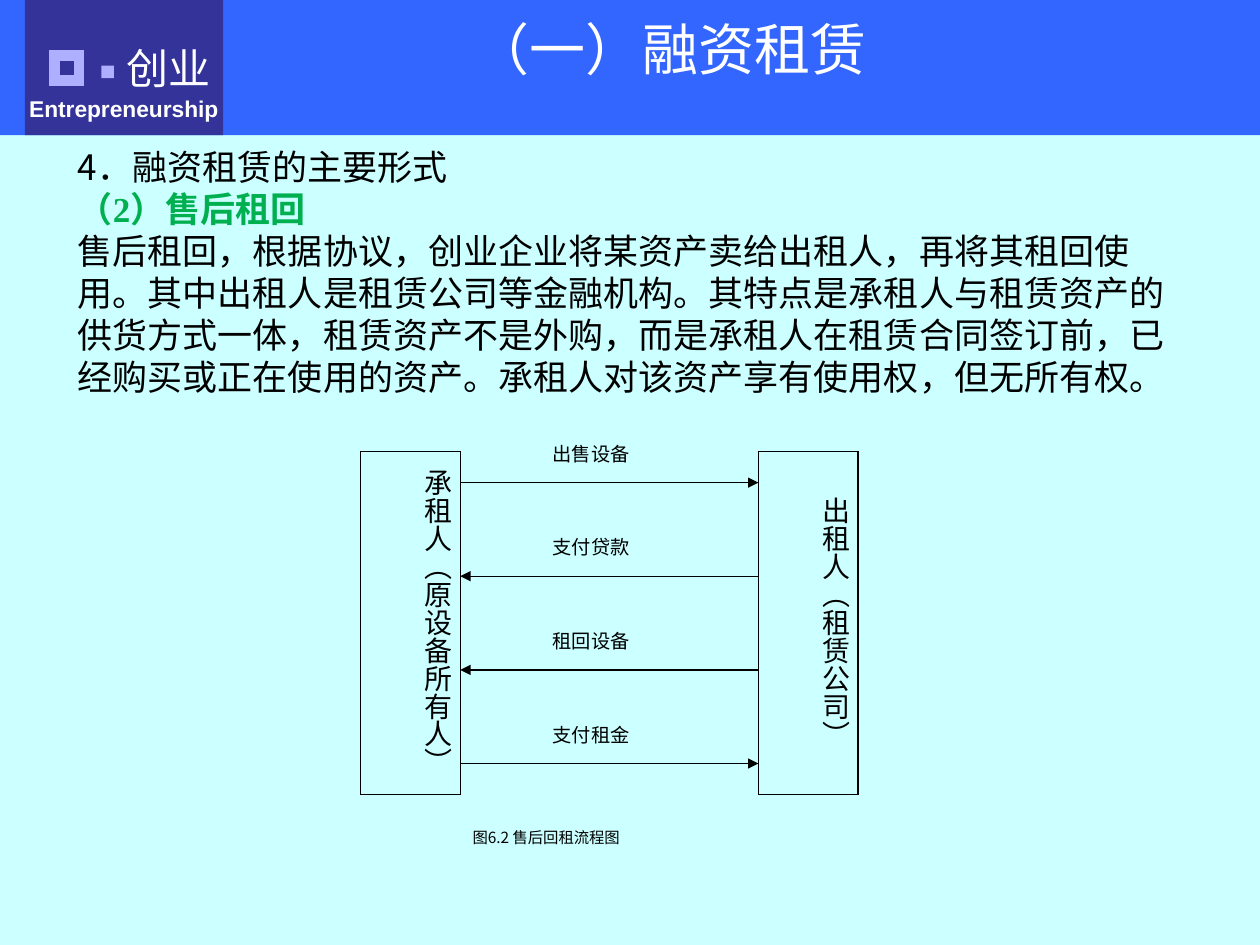
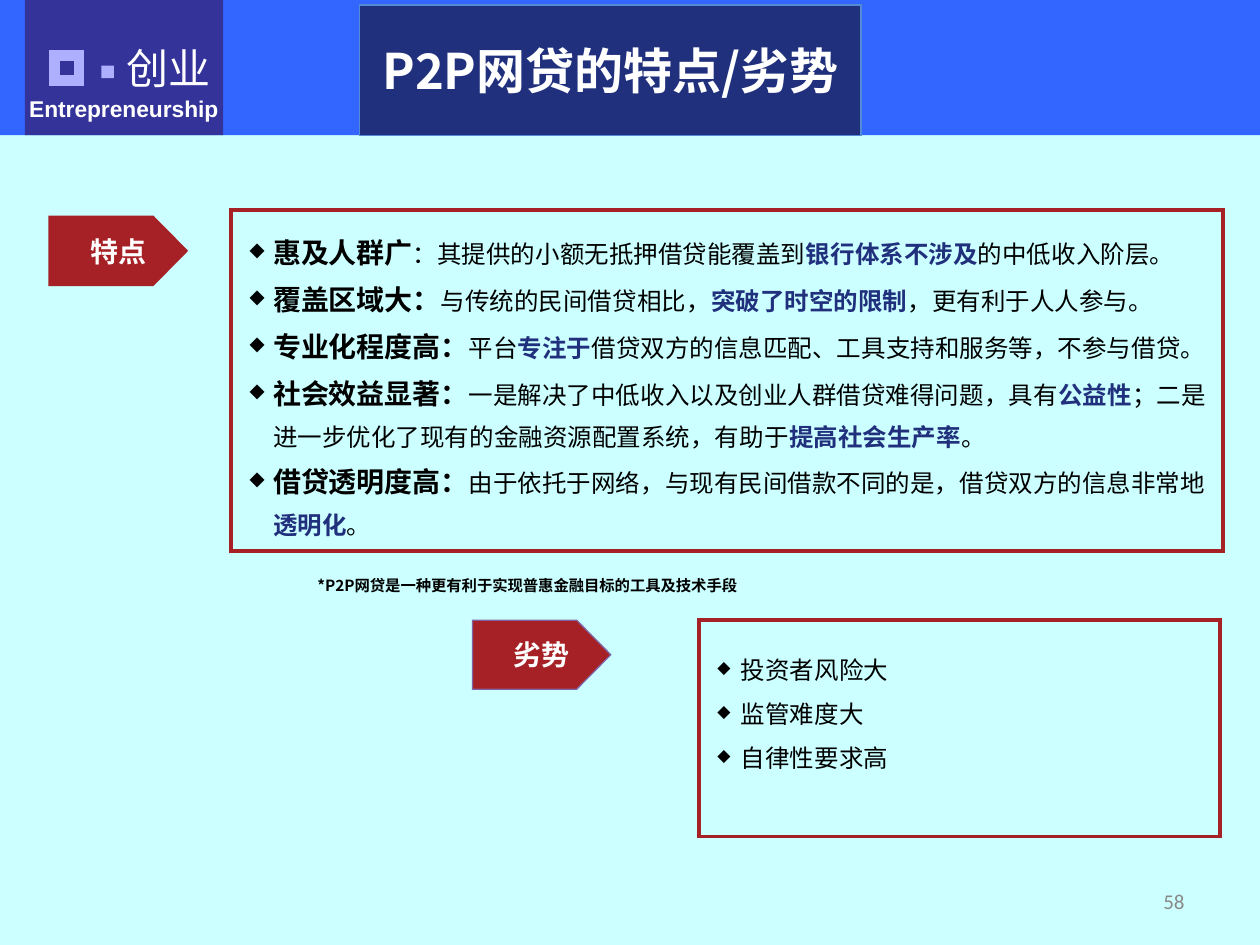
from dataclasses import dataclass
from typing import NamedTuple, Optional, Sequence, Union

from lxml.etree import SubElement
from pptx import Presentation
from pptx.dml.color import RGBColor
from pptx.enum.shapes import MSO_CONNECTOR as Connector, MSO_SHAPE as Preset
from pptx.enum.text import MSO_ANCHOR as Anchor, MSO_AUTO_SIZE as AutoSize, PP_ALIGN as Align
from pptx.oxml.ns import qn
from pptx.util import Pt

# Colours
PALE_CYAN = RGBColor(0xCC, 0xFF, 0xFF)
BAND_BLUE = RGBColor(0x33, 0x66, 0xFF)
BADGE_BLUE = RGBColor(0x33, 0x33, 0x99)
LILAC = RGBColor(0xAF, 0xAF, 0xFF)
NAVY = RGBColor(0x20, 0x30, 0x7D)
SKY_EDGE = RGBColor(0x53, 0x8C, 0xD5)
CRIMSON = RGBColor(0xA6, 0x21, 0x26)
PURPLE_EDGE = RGBColor(0x80, 0x64, 0xA2)
GREEN = RGBColor(0x00, 0xB0, 0x50)
GREY = RGBColor(0x89, 0x89, 0x89)
BLACK = RGBColor(0, 0, 0)
WHITE = RGBColor(0xFF, 0xFF, 0xFF)

CJK = "Noto Sans CJK SC"
SERIF = "Times New Roman"
BULLET_MARGIN = Pt(17)
BULLET_HANG = Pt(13.5)


class Box(NamedTuple):
    """A place on the slide, in points."""
    left: float
    top: float
    width: float
    height: float

    def lengths(self) -> list:
        return [Pt(value) for value in self]


class Run(NamedTuple):
    """A stretch of text; what is None follows the paragraph."""
    text: str
    size: Optional[float] = None
    bold: Optional[bool] = None
    color: Optional[RGBColor] = None
    font: Optional[str] = None


@dataclass
class Panel:
    box: Box
    fill: Optional[RGBColor] = None
    edge: Optional[RGBColor] = None
    edge_width: float = 0.75


@dataclass
class Tag:
    text: str
    left: float
    top: float
    edge: RGBColor


@dataclass
class Flow:
    label: str
    to_lessor: bool


def head(text: str) -> Run:
    return Run(text, size=16, bold=True)


def key(text: str) -> Run:
    return Run(text, bold=True, color=NAVY)


def paint(shape, fill: Optional[RGBColor], edge: Optional[RGBColor], edge_width: float = 0.75) -> None:
    if fill is None:
        shape.fill.background()
    else:
        shape.fill.solid()
        shape.fill.fore_color.rgb = fill
    if edge is None:
        shape.line.fill.background()
    else:
        shape.line.color.rgb = edge
        shape.line.width = Pt(edge_width)
        SubElement(shape.line._get_or_add_ln(), qn("a:miter"), lim="800000")


def write(shape, paragraphs: Sequence[Union[str, Sequence[Run]]], *, size: float, font: str = CJK,
          color: RGBColor = BLACK, bold: bool = False, align: Align = Align.LEFT,
          anchor: Anchor = Anchor.TOP, spacing: float = 1.0, bullet: str = "",
          insets: tuple = (7.2, 3.6, 7.2, 3.6), vertical: bool = False) -> None:
    frame = shape.text_frame
    frame.word_wrap = True
    frame.auto_size = AutoSize.NONE
    frame.vertical_anchor = anchor
    (frame.margin_left, frame.margin_top,
     frame.margin_right, frame.margin_bottom) = map(Pt, insets)
    if vertical:
        shape.element.find(".//" + qn("a:bodyPr")).set("vert", "eaVert")

    for index, content in enumerate(paragraphs):
        paragraph = frame.add_paragraph() if index else frame.paragraphs[0]
        paragraph.alignment = align
        paragraph.line_spacing = spacing
        properties = paragraph._p.get_or_add_pPr()
        properties.set("hangingPunct", "0")
        if bullet:
            properties.set("marL", str(int(BULLET_MARGIN)))
            properties.set("indent", str(-int(BULLET_HANG)))
            bullet_color = SubElement(properties, qn("a:buClr"))
            SubElement(bullet_color, qn("a:srgbClr"), val=str(BLACK))
            SubElement(properties, qn("a:buSzPct"), val="70000")
            SubElement(properties, qn("a:buChar"), char=bullet)
        for part in [Run(content)] if isinstance(content, str) else content:
            run = paragraph.add_run()
            run.text = part.text
            run.font.size = Pt(part.size or size)
            run.font.bold = bold if part.bold is None else part.bold
            run.font.color.rgb = part.color or color
            run.font.name = part.font or font
            SubElement(run._r.get_or_add_rPr(), qn("a:ea"), typeface=CJK)


def add_panel(slide, panel: Panel):
    shape = slide.shapes.add_shape(Preset.RECTANGLE, *panel.box.lengths())
    shape.shadow.inherit = False
    paint(shape, panel.fill, panel.edge, panel.edge_width)
    return shape


def add_text(slide, box: Box, text: str, **style):
    text_box = slide.shapes.add_textbox(*box.lengths())
    write(text_box, [text], **style)
    return text_box


def add_tag(slide, tag: Tag) -> None:
    width, height, point = 79, 39.5, 19.5
    shoulder, right = tag.left + width - point, tag.left + width
    bottom = tag.top + height
    outline = slide.shapes.build_freeform(Pt(tag.left), Pt(tag.top))
    corners = [(shoulder, tag.top), (right, tag.top + height / 2), (shoulder, bottom), (tag.left, bottom)]
    outline.add_line_segments([(Pt(x), Pt(y)) for x, y in corners], close=True)
    shape = outline.convert_to_shape()
    shape.shadow.inherit = False
    paint(shape, CRIMSON, tag.edge)
    write(shape, [tag.text], size=16, color=WHITE, bold=True, align=Align.CENTER, anchor=Anchor.MIDDLE)


def add_arrow(slide, start: float, end: float, y: float) -> None:
    arrow = slide.shapes.add_connector(Connector.STRAIGHT, Pt(start), Pt(y), Pt(end), Pt(y))
    arrow.line.color.rgb = BLACK
    arrow.line.width = Pt(0.75)
    SubElement(arrow.line._get_or_add_ln(), qn("a:tailEnd"), type="triangle")
    SubElement(arrow.element.spPr, qn("a:effectLst"))


def set_title(slide, box: Box, text: str, **style):
    title = slide.shapes.title
    title.left, title.top, title.width, title.height = box.lengths()
    write(title, [text], color=WHITE, align=Align.CENTER, **style)
    return title


def dress_layout(layout, slide) -> None:
    """Draw the header with the slide's tools, then hand it to the layout."""
    layout.background.fill.solid()
    layout.background.fill.fore_color.rgb = PALE_CYAN
    header = [add_panel(slide, panel) for panel in (
        Panel(Box(0, -2, 720, 79.3), fill=BAND_BLUE),
        Panel(Box(14.2, 0, 113.3, 77.3), fill=BADGE_BLUE),
        Panel(Box(31, 31.7, 14.2, 14.4), edge=LILAC, edge_width=6),
        Panel(Box(58, 37.5, 7.2, 7.2), fill=LILAC),
    )]
    header.append(add_text(slide, Box(65, 20.5, 73.5, 36), "创业", size=24, font="Arial", color=WHITE))
    header.append(add_text(slide, Box(9.6, 50.4, 153, 23), "Entrepreneurship",
                           size=13, font="Arial", color=WHITE, bold=True))
    for number, shape in enumerate(header, start=100):
        shape.element.nvSpPr.cNvPr.id = number
        layout.shapes.element.append(shape.element)


def build_leaseback(slide) -> None:
    set_title(slide, Box(82, 4.7, 602, 67), "（一）融资租赁", size=32, font="Arial", anchor=Anchor.TOP)

    # Explanation
    explanation = slide.shapes.add_textbox(*Box(37.3, 79.6, 647.3, 151.2).lengths())
    write(explanation, [
        "4．融资租赁的主要形式",
        [Run("（2）售后租回", bold=True, color=GREEN, font=SERIF)],
        "售后租回，根据协议，创业企业将某资产卖给出租人，再将其租回使用。其中出租人是租赁公司等金融机构。"
        "其特点是承租人与租赁资产的供货方式一体，租赁资产不是外购，而是承租人在租赁合同签订前，"
        "已经购买或正在使用的资产。承租人对该资产享有使用权，但无所有权。",
    ], size=20, anchor=Anchor.MIDDLE)

    # The two parties, each name centred down its box
    lessee, lessor = Box(206, 258, 57, 196), Box(433.4, 258, 57, 196)
    name_size = 16
    for box, party in ((lessee, "承租人（原设备所有人）"), (lessor, "出租人（租赁公司）")):
        headroom = (box.height - name_size * len(party)) / 2
        write(add_panel(slide, Panel(box, edge=BLACK)), [party], size=name_size, font=SERIF,
              insets=(3.6, headroom, 3.6, 7.2), vertical=True)

    # What passes between them
    flows = [Flow("出售设备", True), Flow("支付贷款", False),
             Flow("租回设备", False), Flow("支付租金", True)]
    lessee_side, lessor_side = lessee.left + lessee.width, lessor.left
    for row, flow in enumerate(flows):
        y = 275.8 + 53.5 * row
        ends = (lessee_side, lessor_side) if flow.to_lessor else (lessor_side, lessee_side)
        add_arrow(slide, *ends, y)
        add_text(slide, Box(308.7, y - 26.7, 79, 26.7), flow.label, size=11, font=SERIF)

    add_text(slide, Box(263, 471.6, 227.5, 19.4), "图6.2 售后回租流程图", size=8.8, spacing=0.8)


def build_p2p(slide) -> None:
    title = set_title(slide, Box(205.4, 2.9, 286.6, 74.6), "P2P网贷的特点/劣势",
                      size=28, bold=True, anchor=Anchor.MIDDLE)
    paint(title, NAVY, SKY_EDGE)

    for tag in (Tag("特点", 28, 123.6, CRIMSON), Tag("劣势", 270, 354.4, PURPLE_EDGE)):
        add_tag(slide, tag)

    # Features
    features = add_panel(slide, Panel(Box(132, 120, 567, 195), edge=CRIMSON, edge_width=2))
    write(features, [
        [head("惠及人群广"), Run("：其提供的小额无抵押借贷能覆盖到"), key("银行体系不涉及"),
         Run("的中低收入阶层。")],
        [head("覆盖区域大："), Run("与传统的民间借贷相比，"), key("突破了时空的限制"),
         Run("，更有利于人人参与。")],
        [head("专业化程度高："), Run("平台"), key("专注于"),
         Run("借贷双方的信息匹配、工具支持和服务等，不参与借贷。")],
        [head("社会效益显著："), Run("一是解决了中低收入以及创业人群借贷难得问题，具有"), key("公益性"),
         Run("；二是进一步优化了现有的金融资源配置系统，有助于"), key("提高社会生产率"), Run("。")],
        [head("借贷透明度高："), Run("由于依托于网络，与现有民间借款不同的是，借贷双方的信息非常地"),
         key("透明化"), Run("。")],
    ], size=14, anchor=Anchor.MIDDLE, spacing=1.4, bullet="◆")

    add_text(slide, Box(174.3, 316, 416, 34), "*P2P网贷是一种更有利于实现普惠金融目标的工具及技术手段",
             size=8.8, bold=True, anchor=Anchor.MIDDLE, spacing=1.3)

    # Weaknesses
    weaknesses = add_panel(slide, Panel(Box(399.3, 354.4, 298, 123.6), edge=CRIMSON, edge_width=2))
    write(weaknesses, ["投资者风险大", "监管难度大", "自律性要求高"], size=14, anchor=Anchor.MIDDLE,
          spacing=1.5, bullet="◆", insets=(7.2, 3.6, 7.2, 29))

    # Page number
    add_text(slide, Box(516, 500.4, 168, 28.8), "58", size=12, font="Calibri", color=GREY,
             align=Align.RIGHT, anchor=Anchor.MIDDLE)


def main() -> None:
    deck = Presentation()
    deck.slide_width, deck.slide_height = Pt(720), Pt(540)
    layout = deck.slide_layouts[5]
    leaseback, p2p = (deck.slides.add_slide(layout) for _ in range(2))
    dress_layout(layout, leaseback)
    build_leaseback(leaseback)
    build_p2p(p2p)
    deck.save("out.pptx")


if __name__ == "__main__":
    main()
